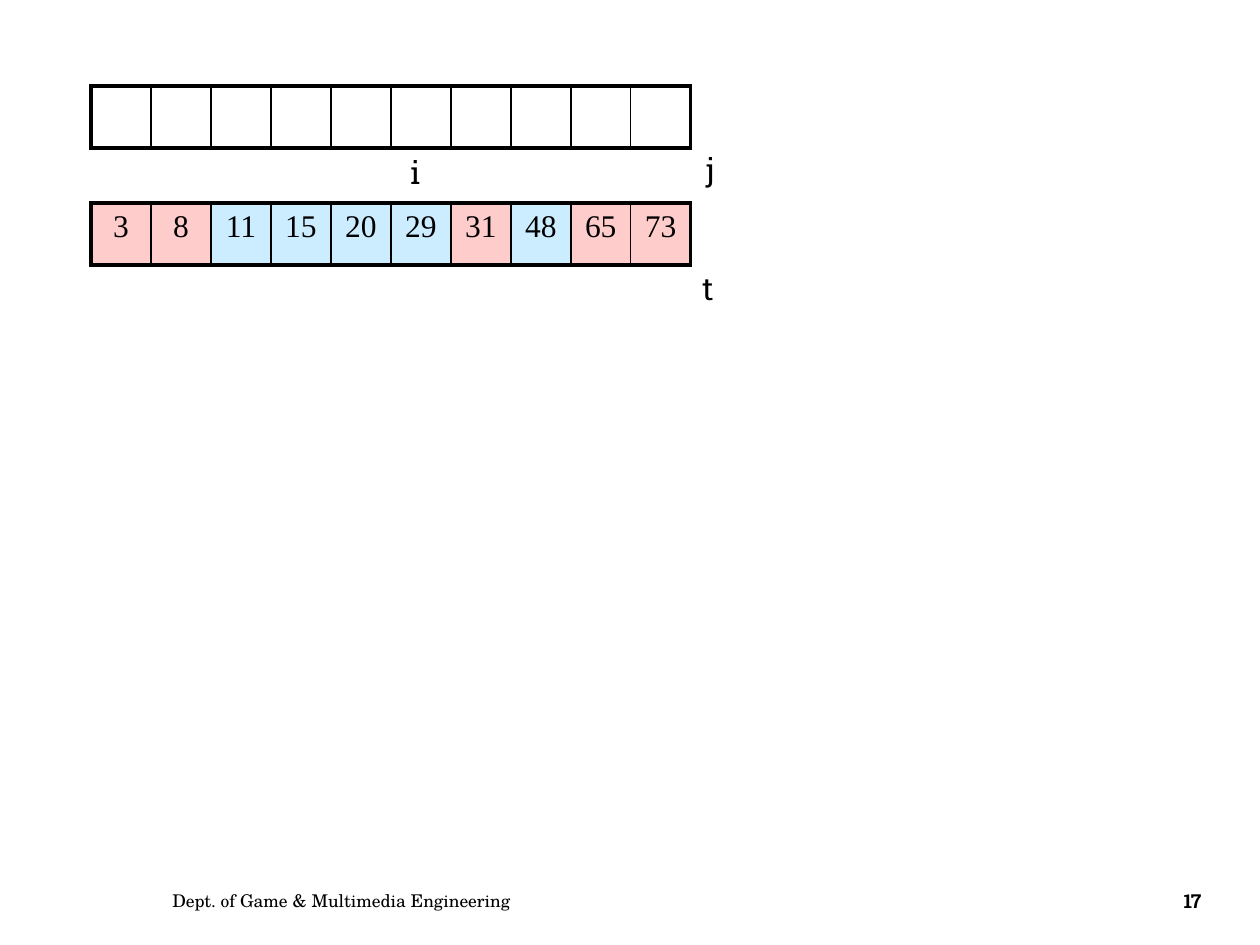
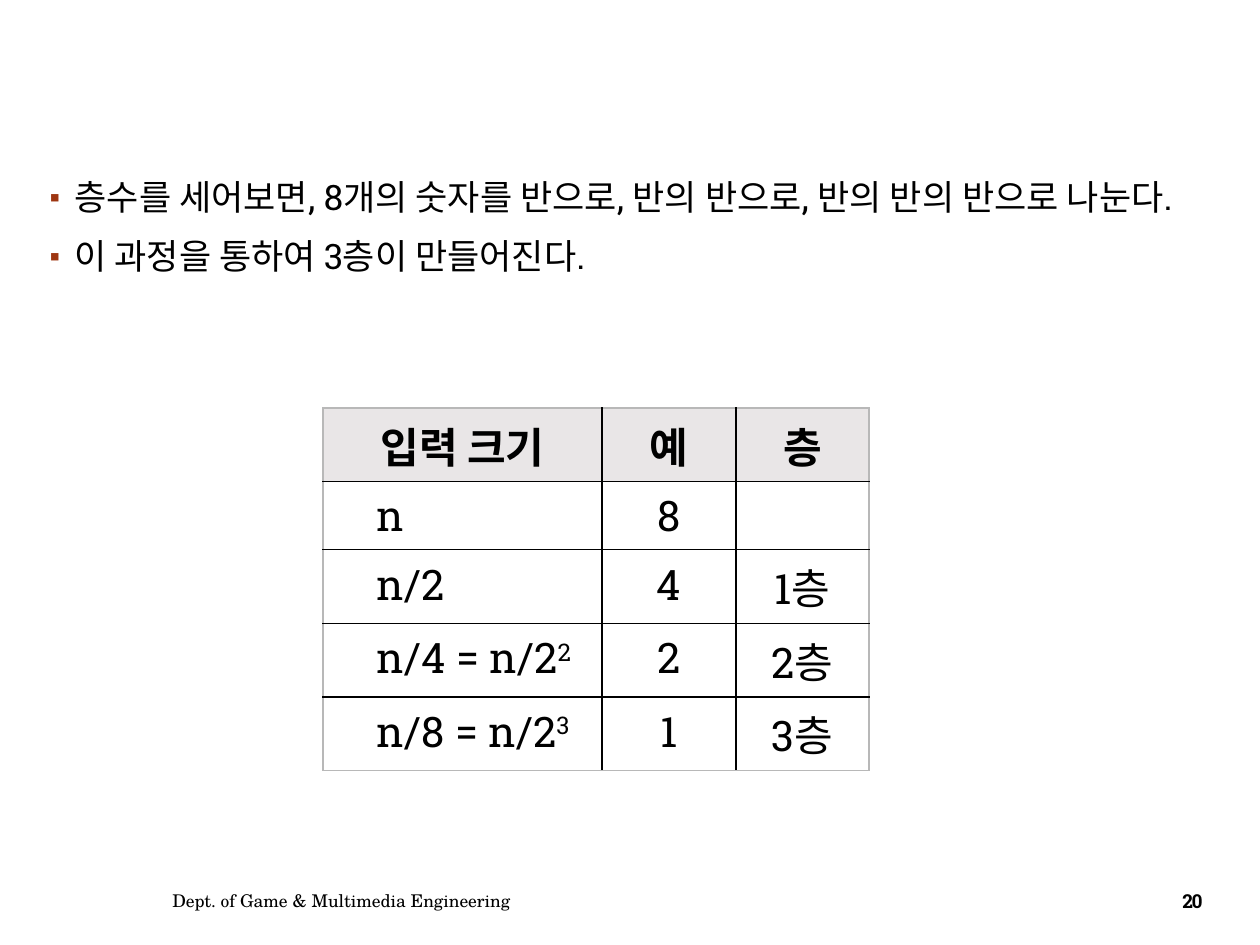
from dataclasses import dataclass

from lxml import etree
from pptx import Presentation
from pptx.dml.color import RGBColor
from pptx.enum.text import MSO_ANCHOR, MSO_AUTO_SIZE, PP_ALIGN
from pptx.oxml.ns import qn
from pptx.util import Emu, Pt

LEFT, CENTER = PP_ALIGN.LEFT, PP_ALIGN.CENTER
TOP, MIDDLE = MSO_ANCHOR.TOP, MSO_ANCHOR.MIDDLE
FIT_SHAPE, NO_FIT = MSO_AUTO_SIZE.SHAPE_TO_FIT_TEXT, MSO_AUTO_SIZE.NONE
PX = 914400 / 126


@dataclass(frozen=True)
class Theme:
    text: str = "000000"
    line: str = "000000"
    outer_line: str = "B8B8B8"
    bullet: str = "9E3611"
    header: str = "E9E6E7"
    pink: str = "FFCCCC"
    blue: str = "CCECFF"
    slab: str = "Roboto Slab"
    korean: str = "Noto Sans CJK KR"
    serif: str = "Times New Roman"
    footer_font: str = "TeX Gyre Schola"
    array_size: int = 18
    body_size: int = 20
    table_size: int = 24
    footer_size: int = 10
    number_size: int = 11
    thick: float = 2.25
    thin: float = 1


theme = Theme()


def style_run(run, font, size, bold=False):
    run.font.size = Pt(size)
    run.font.bold = bold
    run.font.color.rgb = RGBColor.from_string(theme.text)
    run.font.name = font
    properties = run._r.get_or_add_rPr()
    etree.SubElement(properties, qn("a:ea"), typeface=theme.korean)
    return properties


def format_cell(cell, borders, fill):
    """Borders are (colour, points) pairs for left, right, top and bottom."""
    properties = cell._tc.get_or_add_tcPr()
    for side, (color, points) in zip("LRTB", borders):
        line = etree.SubElement(properties, qn(f"a:ln{side}"), w=str(Pt(points)))
        solid = etree.SubElement(line, qn("a:solidFill"))
        etree.SubElement(solid, qn("a:srgbClr"), val=color)
    if fill:
        cell.fill.solid()
        cell.fill.fore_color.rgb = RGBColor.from_string(fill)
    else:
        cell.fill.background()


presentation = Presentation()
presentation.slide_width = Emu(round(1260 * PX))
presentation.slide_height = Emu(round(945 * PX))
merge_slide = presentation.slides.add_slide(presentation.slide_layouts[6])
levels_slide = presentation.slides.add_slide(presentation.slide_layouts[1])

# Merge arrays: the target above, the sorted values below
values = [3, 8, 11, 15, 20, 29, 31, 48, 65, 73]
from_second_half = {11, 15, 20, 29, 48}
thick = (theme.line, theme.thick)
thin = (theme.line, theme.thin)
cell_size = 60
array_height = 62
last = len(values) - 1

for top, has_values in ((86, False), (203, True)):
    frame = merge_slide.shapes.add_table(
        1, len(values), *(Emu(round(length * PX)) for length in
                          (91, top, cell_size * len(values), array_height)))
    array = frame.table
    array.first_row = array.horz_banding = False
    for index, value in enumerate(values):
        cell = array.cell(0, index)
        fill = None
        if has_values:
            fill = theme.blue if value in from_second_half else theme.pink
            paragraph = cell.text_frame.paragraphs[0]
            paragraph.text = str(value)
            paragraph.alignment = CENTER
            style_run(paragraph.runs[0], theme.serif, theme.array_size)
        borders = (thick if index == 0 else thin,
                   thick if index == last else thin, thick, thick)
        format_cell(cell, borders, fill)

# Bulleted explanation of the levels
levels_slide.shapes.title.element.getparent().remove(levels_slide.shapes.title.element)
body = levels_slide.placeholders[1]
body.left, body.top, body.width, body.height = (
    Emu(round(length * PX)) for length in (37, 174, 1188, 677))
body.text_frame.text = (
    "층수를 세어보면, 8개의 숫자를 반으로, 반의 반으로, 반의 반의 반으로 나눈다.\n"
    "이 과정을 통하여 3층이 만들어진다.")
body.text_frame.auto_size = NO_FIT
indent = round(25 * PX)
for paragraph in body.text_frame.paragraphs:
    paragraph.line_spacing = 0.9
    paragraph.space_before = Pt(12)
    properties = paragraph._p.get_or_add_pPr()
    properties.set("marL", str(indent))
    properties.set("indent", str(-indent))
    bullet_color = etree.SubElement(properties, qn("a:buClr"))
    etree.SubElement(bullet_color, qn("a:srgbClr"), val=theme.bullet)
    etree.SubElement(properties, qn("a:buSzPct"), val="85000")
    etree.SubElement(properties, qn("a:buChar"), char="▪")
    style_run(paragraph.runs[0], theme.slab, theme.body_size)

# Level table; "^" marks a superscript
level_rows = [
    ("입력 크기", "예", "층"),
    ("n", "8", ""),
    ("n/2", "4", "1층"),
    ("n/4 = n/2^2", "2", "2층"),
    ("n/8 = n/2^3", "1", "3층"),
]
column_widths = (279, 134, 133)
row_height = 52
formula_margin = 54
frame = levels_slide.shapes.add_table(
    len(level_rows), len(column_widths), *(Emu(round(length * PX)) for length in
    (323, 408, sum(column_widths), row_height * len(level_rows))))
table = frame.table
table.first_row = table.horz_banding = False
for column, width in zip(table.columns, column_widths):
    column.width = Emu(round(width * PX))

outer = (theme.outer_line, theme.thin)
last_row, last_column = len(level_rows) - 1, len(column_widths) - 1
for row_index, row in enumerate(level_rows):
    is_header = row_index == 0
    for column_index, text in enumerate(row):
        cell = table.cell(row_index, column_index)
        is_formula = column_index == 0 and not is_header
        if is_formula:
            cell.margin_left = Emu(round(formula_margin * PX))
        paragraph = cell.text_frame.paragraphs[0]
        paragraph.alignment = LEFT if is_formula else CENTER
        base, _, exponent = text.partition("^")
        font = theme.korean if is_header else theme.slab
        for part, baseline in ((base, "0"), (exponent, "30000")):
            if part:
                run = paragraph.add_run()
                run.text = part
                style_run(run, font, theme.table_size, is_header).set("baseline", baseline)
        borders = (outer if column_index == 0 else thin,
                   outer if column_index == last_column else thin,
                   outer if is_header else thin,
                   outer if row_index == last_row else thin)
        format_cell(cell, borders, theme.header if is_header else None)

# Index labels beside the arrays
for label, left, top in (("i", 398, 147), ("j", 694, 144), ("t", 690, 263)):
    box = merge_slide.shapes.add_textbox(
        *(Emu(round(length * PX)) for length in (left, top, 33, 50)))
    box.text_frame.text = label
    box.text_frame.word_wrap = False
    box.text_frame.auto_size = FIT_SHAPE
    box.text_frame.vertical_anchor = TOP
    style_run(box.text_frame.paragraphs[0].runs[0], theme.slab, theme.array_size)

# Footer and slide number
footer_top, footer_height = 876, 50
for slide, number in ((merge_slide, "17"), (levels_slide, "20")):
    for text, left, width, font, size, is_number in (
        ("Dept. of Game & Multimedia Engineering", 160, 578,
         theme.footer_font, theme.footer_size, False),
        (number, 1159, 67, theme.slab, theme.number_size, True),
    ):
        box = slide.shapes.add_textbox(
            *(Emu(round(length * PX)) for length in
              (left, footer_top, width, footer_height)))
        box.text_frame.text = text
        box.text_frame.word_wrap = True
        box.text_frame.vertical_anchor = MIDDLE
        paragraph = box.text_frame.paragraphs[0]
        paragraph.alignment = CENTER if is_number else LEFT
        properties = style_run(paragraph.runs[0], font, size, is_number)
        if is_number:
            properties.set("spc", "-70")

presentation.save("out.pptx")
